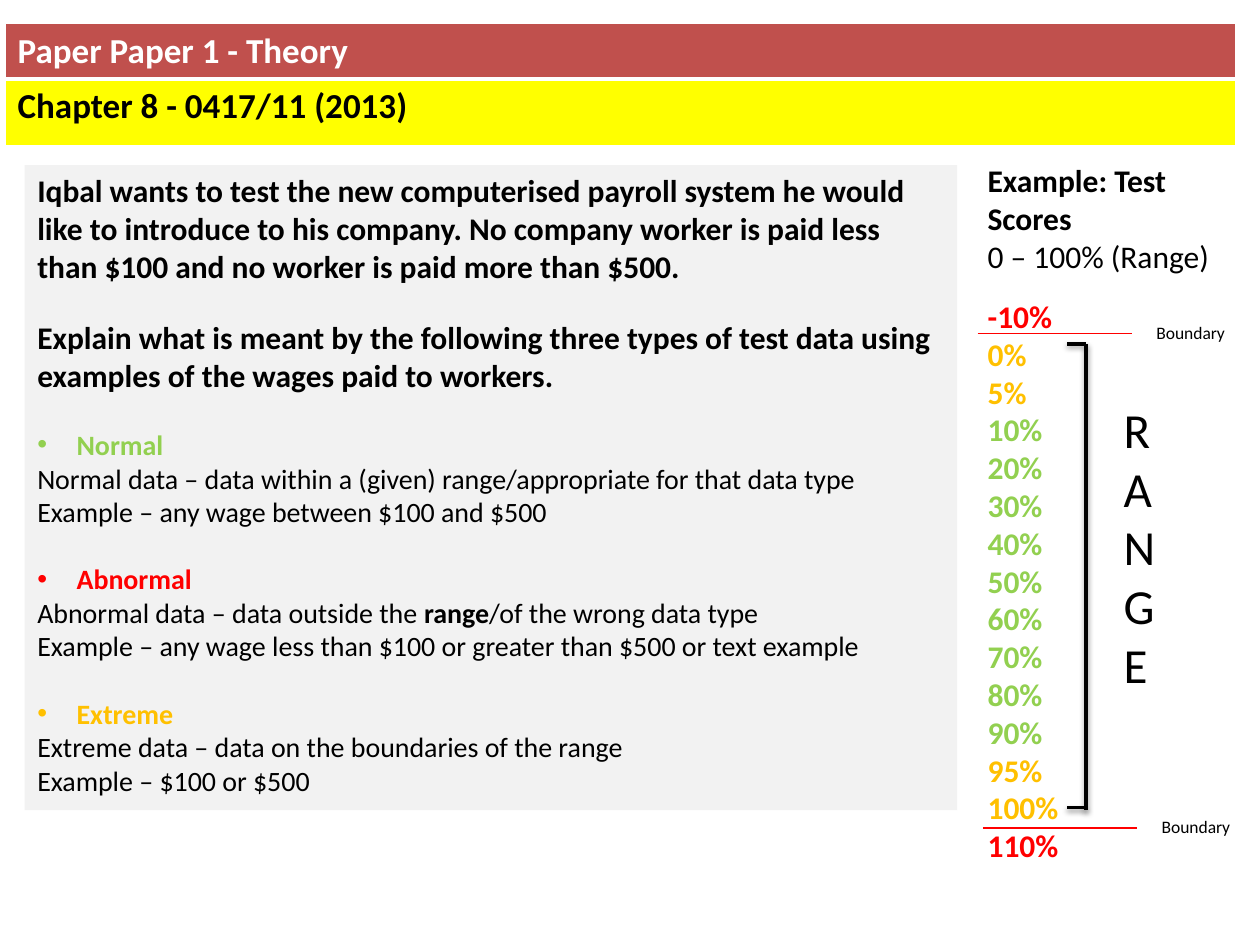
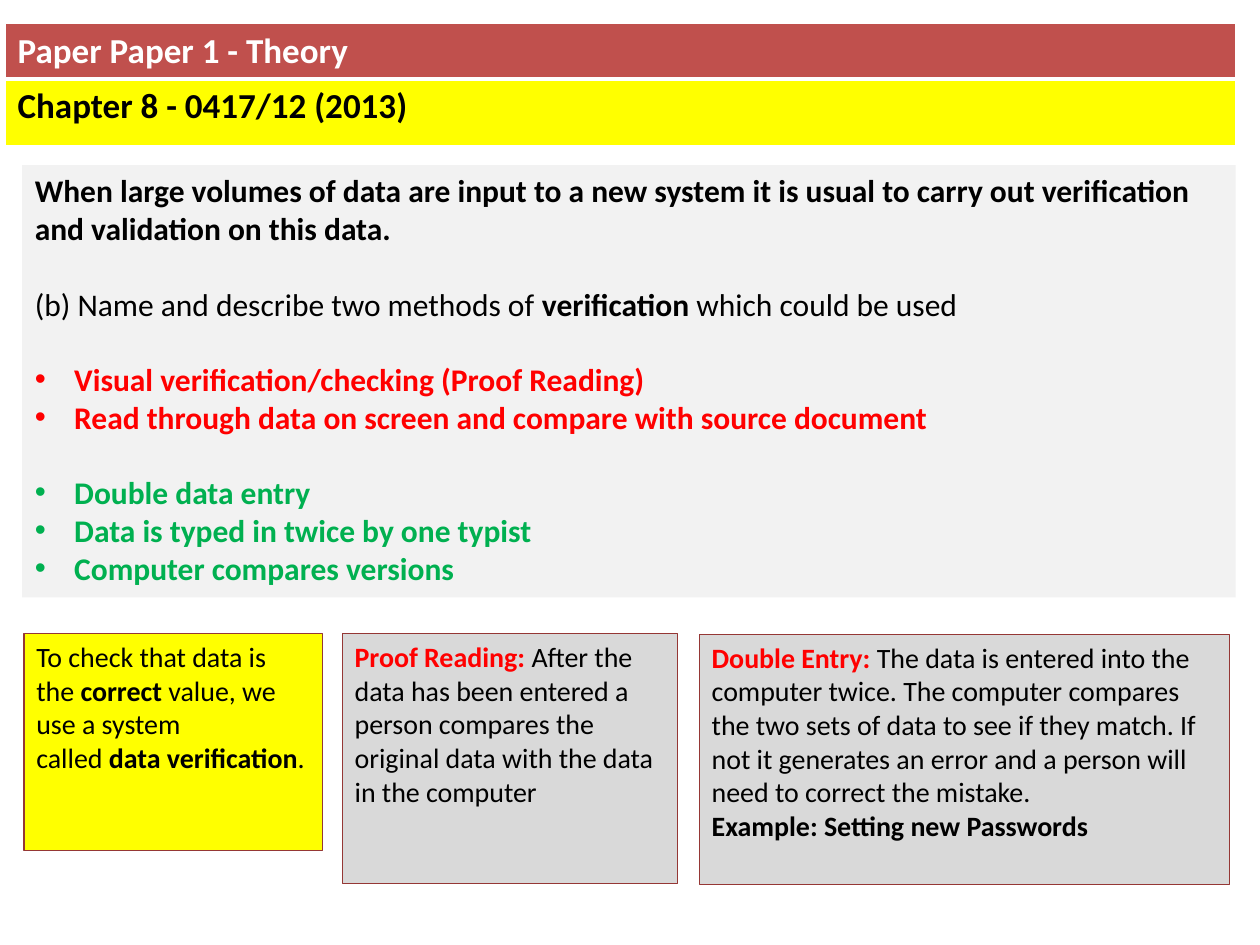
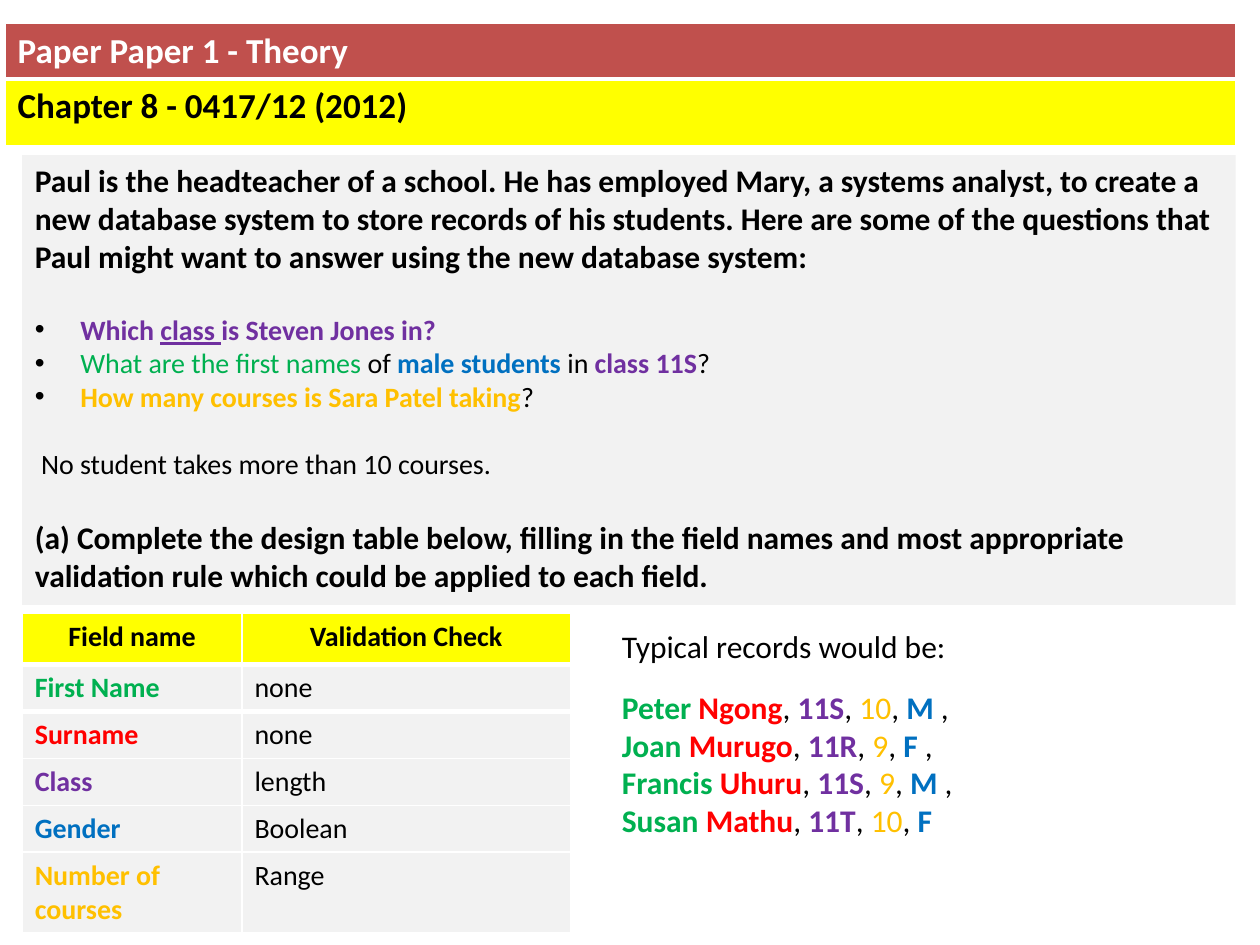
from dataclasses import dataclass
from lxml.etree import SubElement
from pptx import Presentation
from pptx.dml.color import RGBColor
from pptx.enum.shapes import MSO_CONNECTOR as Connector, MSO_SHAPE as Preset
from pptx.enum.text import MSO_ANCHOR as Anchor, MSO_AUTO_SIZE as AutoSize, PP_ALIGN as Align
from pptx.oxml.ns import qn
from pptx.util import Pt

BLACK = RGBColor(0x00, 0x00, 0x00)
WHITE = RGBColor(0xFF, 0xFF, 0xFF)
BRICK = RGBColor(0xC0, 0x50, 0x4D)
MAROON = RGBColor(0x95, 0x37, 0x35)
YELLOW = RGBColor(0xFF, 0xFF, 0x00)
PALE = RGBColor(0xF2, 0xF2, 0xF2)
GREY = RGBColor(0xD9, 0xD9, 0xD9)
RED = RGBColor(0xFF, 0x00, 0x00)
AMBER = RGBColor(0xFF, 0xC0, 0x00)
LIME = RGBColor(0x92, 0xD0, 0x50)
GREEN = RGBColor(0x00, 0xB0, 0x50)
BLUE = RGBColor(0x00, 0x70, 0xC0)
PURPLE = RGBColor(0x70, 0x30, 0xA0)
FONT = "Calibri"
NO_BREAK = chr(160)


@dataclass
class Line:
    runs: list
    size: float = 16
    gap: float = 0
    bullet: RGBColor = None
    indent: float = 0
    align: Align = Align.LEFT


def plain(text, size=16, **options):
    return Line([(text, BLACK, False)], size, **options)


def bold(text, size=18, colour=BLACK, **options):
    return Line([(text, colour, True)], size, **options)


def point(text, colour, size=18, gap=0):
    return bold(text, size, colour, gap=gap, bullet=colour, indent=22.5)


PAPER = "Paper Paper 1 - Theory"

TEST_DATA = [
    bold("Iqbal wants to test the new computerised payroll system he would like to introduce to his "
         "company. No company worker is paid less than $100 and no worker is paid more than $500."),
    bold("Explain what is meant by the following three types of test data using examples of the "
         "wages paid to workers.", gap=19.2),
    point("Normal", LIME, 16, 19.2),
    plain("Normal data – data within a (given) range/appropriate for that data type"),
    plain("Example – any wage between $100 and $500"),
    point("Abnormal", RED, 16, 19.2),
    Line([("Abnormal data – data outside the ", BLACK, False), ("range", BLACK, True),
          ("/of the wrong data type", BLACK, False)]),
    plain("Example – any wage less than $100 or greater than $500 or text example"),
    point("Extreme", AMBER, 16, 19.2),
    plain("Extreme data – data on the boundaries of the range"),
    plain("Example – $100 or $500"),
]
SCORES = [
    (RED, ["-10%"]),
    (AMBER, ["0%", "5%"]),
    (LIME, ["10%", "20%", "30%", "40%", "50%", "60%", "70%", "80%", "90%"]),
    (AMBER, ["95%", "100%"]),
    (RED, ["110%"]),
]
BOUNDARY_OFFSETS = [(0, 0), (3, 282.5)]
BRACKET = [(620.6, 196.6, 620.6, 463), (609.8, 196.6, 620.6, 196.6), (609.8, 461.5, 620.6, 461.5)]

VERIFICATION = [
    bold("When large volumes of data are input to a new system it is usual to carry out verification"),
    bold("and validation on this data."),
    Line([("(b) Name and describe two methods of ", BLACK, False), ("verification ", BLACK, True),
          ("which could be used", BLACK, False)], 18, 21.5),
    point("Visual verification/checking (Proof Reading)", RED, gap=21.5),
    point("Read through data on screen and compare with source document", RED),
    point("Double data entry", GREEN, gap=21.5),
    point("Data is typed in twice by one typist", GREEN),
    point("Computer compares versions", GREEN),
]
NOTES = [
    ((13.7, 362, 170.6, 124), YELLOW, [
        Line([("To check that data is the" + NO_BREAK, BLACK, False),
              ("correct" + NO_BREAK, BLACK, True),
              ("value, we use a system called" + NO_BREAK, BLACK, False),
              ("data verification", BLACK, True), (".", BLACK, False)])]),
    ((195.6, 362, 191.8, 143), GREY, [
        Line([("Proof Reading: ", RED, True),
              ("After the data has been entered a person compares the original data with the data "
               "in the computer", BLACK, False)])]),
    ((399.6, 362.4, 303, 143), GREY, [
        Line([("Double Entry: ", RED, True),
              ("The data is entered into the computer twice. The computer compares the two sets of "
               "data to see if they match. If not it generates an error and a person will need to "
               "correct the mistake.", BLACK, False)]),
        bold("Example: Setting new Passwords", 16)]),
]

DATABASE = [
    bold("Paul is the headteacher of a school. He has employed Mary, a systems analyst, to create a"),
    bold("new database system to store records of his students. Here are some of the questions that "
         "Paul might want to answer using the new database system:"),
    Line([("Which ", PURPLE, True), ("class ", PURPLE, True, True),
          ("is Steven Jones in?", PURPLE, True)], gap=21.5, bullet=BLACK, indent=26),
    Line([("What are the first names", GREEN, False), (" of ", BLACK, False),
          ("male students ", BLUE, True), ("in ", BLACK, False), ("class 11S", PURPLE, True),
          ("?", BLACK, False)], bullet=BLACK, indent=26),
    Line([("How many courses is Sara Patel taking", AMBER, True), ("?", BLACK, False)],
         bullet=BLACK, indent=26),
    plain("No student takes more than 10 courses.", gap=19.2, indent=3.6),
    bold("(a) Complete the design table below, filling in the field names and most appropriate", gap=21.5),
    bold("validation rule which could be applied to each field."),
]
FIELD_HEADINGS = ["Field name", "Validation Check"]
FIELDS = [
    ("First Name", GREEN, "none"),
    ("Surname", RED, "none"),
    ("Class", PURPLE, "length"),
    ("Gender", BLUE, "Boolean"),
    ("Number of courses", AMBER, "Range"),
]
RECORDS = [
    ("Peter", "Ngong", "11S", "10", "M"),
    ("Joan", "Murugo", "11R", "9", "F"),
    ("Francis", "Uhuru", "11S", "9", "M"),
    ("Susan", "Mathu", "11T", "10", "F"),
]


def points(*values):
    return [Pt(value) for value in values]


def write(frame, lines):
    for index, line in enumerate(lines):
        paragraph = frame.paragraphs[0] if index == 0 else frame.add_paragraph()
        paragraph.alignment = line.align
        paragraph.space_before = Pt(line.gap)
        properties = paragraph._p.get_or_add_pPr()
        properties.set("marL", str(Pt(line.indent)))
        properties.set("indent", str(-Pt(line.indent) if line.bullet is not None else 0))
        if line.bullet is not None:
            colour = SubElement(properties, qn("a:buClr"))
            SubElement(colour, qn("a:srgbClr"), val=str(line.bullet))
            SubElement(properties, qn("a:buFont"), typeface="Arial")
            SubElement(properties, qn("a:buChar"), char="•")
        else:
            SubElement(properties, qn("a:buNone"))
        for text, colour, is_bold, *underline in line.runs:
            run = paragraph.add_run()
            run.text = text
            run.font.name = FONT
            run.font.size = Pt(line.size)
            run.font.bold = is_bold
            run.font.color.rgb = colour
            if underline:
                run.font.underline = True


def add_border(cell, side, width):
    border = SubElement(cell._tc.get_or_add_tcPr(), qn(side), w=str(Pt(width)))
    fill = SubElement(border, qn("a:solidFill"))
    SubElement(fill, qn("a:srgbClr"), val=str(WHITE))


def add_table(slide, left, top, widths, heights, rows):
    table = slide.shapes.add_table(len(rows), len(widths),
                                   *points(left, top, sum(widths), sum(heights))).table
    table.horz_banding = False
    for column, width in zip(table.columns, widths):
        column.width = Pt(width)
    for index, (row, height, cells) in enumerate(zip(table.rows, heights, rows)):
        row.height = Pt(height)
        for cell, (fill, line) in zip(row.cells, cells):
            if index < 2:
                add_border(cell, ("a:lnB", "a:lnT")[index], 3)
            cell.fill.solid()
            cell.fill.fore_color.rgb = fill
            write(cell.text_frame, [line])


def add_text(slide, box, lines, wrap=True):
    frame = slide.shapes.add_textbox(*points(*box)).text_frame
    frame.word_wrap = wrap
    write(frame, lines)


def add_line(slide, ends, colour, width, shadow=False):
    connector = slide.shapes.add_connector(Connector.STRAIGHT, *points(*ends))
    connector.line.color.rgb = colour
    connector.line.width = Pt(width)
    effects = SubElement(connector._element.spPr, qn("a:effectLst"))
    if shadow:
        outer = SubElement(effects, qn("a:outerShdw"), blurRad=str(Pt(3.1)), dist=str(Pt(1.6)),
                           dir="5400000", rotWithShape="0")
        tint = SubElement(outer, qn("a:srgbClr"), val=str(BLACK))
        SubElement(tint, qn("a:alpha"), val="38000")


def add_note(slide, box, fill, lines):
    shape = slide.shapes.add_shape(Preset.RECTANGLE, *points(*box))
    shape.shadow.inherit = False
    shape.fill.solid()
    shape.fill.fore_color.rgb = fill
    shape.line.color.rgb = MAROON
    shape.line.width = Pt(0.75)
    shape.text_frame.vertical_anchor = Anchor.TOP
    write(shape.text_frame, lines)


def add_question(presentation, chapter, box, lines):
    slide = presentation.slides.add_slide(presentation.slide_layouts[1])
    title = slide.shapes.title.element
    title.getparent().remove(title)
    add_table(slide, 2.9, 13.4, [703.4], [31, 38.3],
              [[(BRICK, bold(PAPER, 20, WHITE))], [(YELLOW, bold(chapter, 20))]])
    panel = slide.placeholders[1]
    panel.left, panel.top, panel.width, panel.height = points(*box)
    panel.fill.solid()
    panel.fill.fore_color.rgb = PALE
    panel.text_frame.auto_size = AutoSize.NONE
    panel.text_frame.vertical_anchor = Anchor.TOP
    write(panel.text_frame, lines)
    return slide


def build_test_data(presentation):
    slide = add_question(presentation, "Chapter 8 - 0417/11 (2013)", (14.1, 94.3, 532.8, 368.6), TEST_DATA)
    scores = [bold(score, colour=colour) for colour, group in SCORES for score in group]
    scores[0].gap = 12.8
    add_text(slide, (557.3, 88.6, 153.4, 422),
             [bold("Example: Test Scores"), plain("0 – 100% (Range)", 18)] + scores)
    for ends in BRACKET:
        add_line(slide, ends, BLACK, 2, shadow=True)
    add_text(slide, (635, 224.6, 22.3, 177), [plain(letter, 28) for letter in "RANGE"])
    for across, down in BOUNDARY_OFFSETS:
        left, top = 558.7 + across, 190.6 + down
        add_line(slide, (left, top, left + 88, top), RED, 0.75)
        add_text(slide, (left + 95, top - 10.4, 54, 19.4), [plain("Boundary", 10)], wrap=False)


def build_verification(presentation):
    slide = add_question(presentation, "Chapter 8 - 0417/12 (2013)", (12.7, 94.3, 693.4, 247), VERIFICATION)
    for note in NOTES:
        add_note(slide, *note)


def build_database(presentation):
    slide = add_question(presentation, "Chapter 8 - 0417/12 (2012)", (12.7, 88.6, 693.4, 257), DATABASE)
    headings = [(YELLOW, bold(heading, 16, align=Align.CENTER)) for heading in FIELD_HEADINGS]
    rows = [[(PALE, bold(name, 16, colour)), (PALE, plain(check))] for name, colour, check in FIELDS]
    add_table(slide, 12.7, 350.6, [125.6, 187.7], [29.2] + [26.3] * 4 + [45], [headings] + rows)
    comma = (", ", BLACK, False)
    records = []
    for first, surname, group, count, gender in RECORDS:
        records.append(Line([(first + " ", GREEN, True), (surname, RED, True), comma,
                             (group, PURPLE, True), comma, (count, AMBER, False), comma,
                             (gender, BLUE, True), (" ,", BLACK, False)], 18))
    records[0].gap = 13.4
    records[-1].runs.pop()
    add_text(slide, (348.3, 354.5, 360, 131), [plain("Typical records would be:", 18)] + records)


def main():
    presentation = Presentation()
    presentation.slide_width, presentation.slide_height = points(720, 540)
    build_test_data(presentation)
    build_verification(presentation)
    build_database(presentation)
    presentation.save("out.pptx")


if __name__ == "__main__":
    main()
